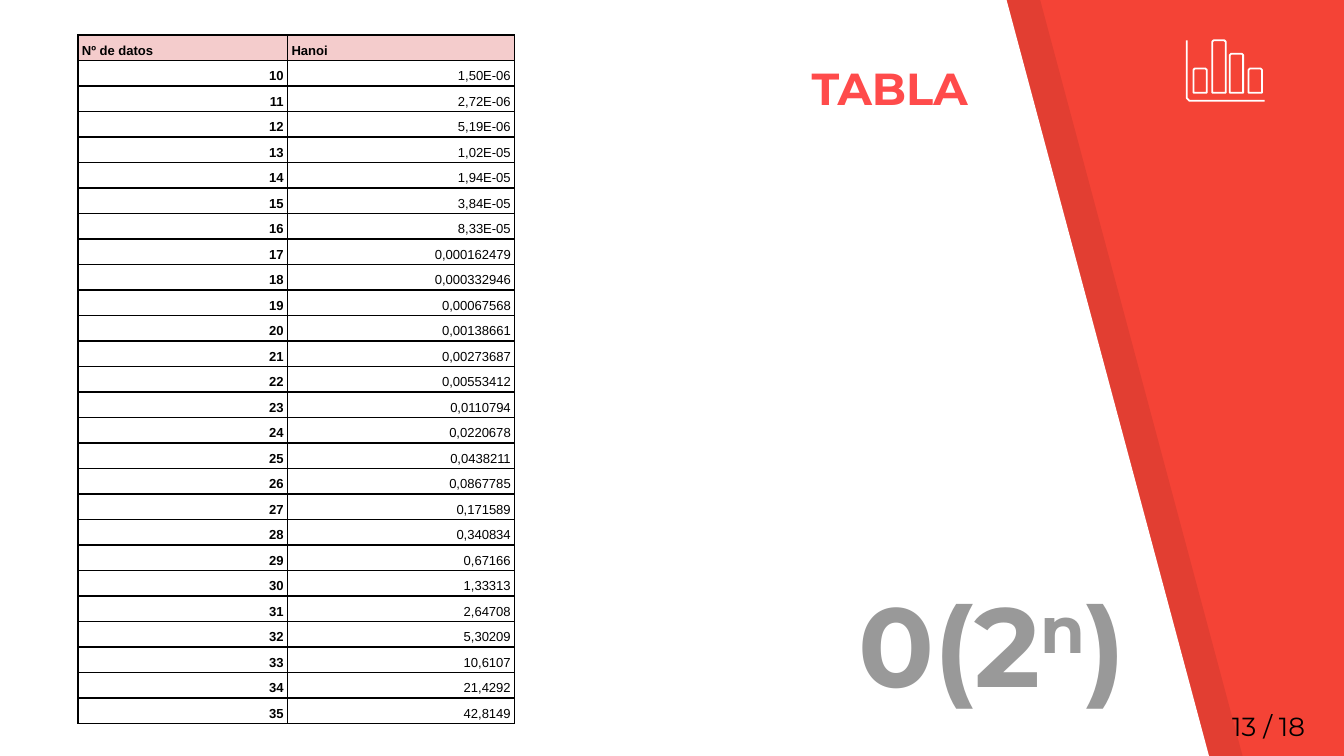
from lxml.etree import SubElement
from pptx import Presentation
from pptx.dml.color import RGBColor
from pptx.enum.text import MSO_ANCHOR, PP_ALIGN
from pptx.oxml import parse_xml
from pptx.oxml.ns import nsdecls, qn
from pptx.util import Inches, Pt


def rgb(value):
    return RGBColor.from_string(value)


def outline(points, close, fill=None, line=None):
    pts = [(Inches(x), Inches(y)) for x, y in points]
    fb = s.shapes.build_freeform(*pts[0])
    fb.add_line_segments(pts[1:], close=close)
    sp = fb.convert_to_shape()
    sp.shadow.inherit = False
    if fill:
        sp.fill.solid()
        sp.fill.fore_color.rgb = rgb(fill)
    else:
        sp.fill.background()
    if line:
        sp.line.color.rgb = rgb(line)
        sp.line.width = Pt(0.96)
    else:
        sp.line.fill.background()
    return sp


prs = Presentation()
prs.slide_width = Inches(10)
prs.slide_height = prs.slide_width * 9 // 16
s = prs.slides.add_slide(prs.slide_layouts[6])
s.background.fill.solid()
s.background.fill.fore_color.rgb = rgb("F44336")

for left, color, alpha in [(0.25, "000000", 7), (0, "FFFFFF", 100)]:
    points = [(left, -0.01), (left, 5.64), (left + 9, 5.64), (left + 7.49, 0)]
    sp = outline(points, True, fill=color)
    if alpha < 100:
        clr = sp._element.spPr.find(qn("a:solidFill"))[0]
        SubElement(clr, qn("a:alpha")).set("val", str(alpha * 1000))

values = [
    "1,50E-06", "2,72E-06", "5,19E-06", "1,02E-05", "1,94E-05", "3,84E-05",
    "8,33E-05", "0,000162479", "0,000332946", "0,00067568", "0,00138661",
    "0,00273687", "0,00553412", "0,0110794", "0,0220678", "0,0438211",
    "0,0867785", "0,171589", "0,340834", "0,67166", "1,33313", "2,64708",
    "5,30209", "10,6107", "21,4292", "42,8149",
]
rows = [("Nº de datos", "Hanoi")]
rows += [(str(n), value) for n, value in enumerate(values, 10)]

row_h = Inches(0.19)
table = s.shapes.add_table(
    len(rows), 2, Inches(0.58), Inches(0.26), Inches(3.25), row_h * len(rows)
).table
table.first_row = table.horz_banding = False
table.columns[0].width, table.columns[1].width = Inches(1.56), Inches(1.69)
for i, row in enumerate(rows):
    table.rows[i].height = row_h
    for j, text in enumerate(row):
        cell = table.cell(i, j)
        cell.vertical_anchor = MSO_ANCHOR.BOTTOM
        cell.margin_left = cell.margin_right = Inches(0.03)
        cell.margin_top = cell.margin_bottom = Inches(0.02)
        p = cell.text_frame.paragraphs[0]
        p.line_spacing = 1.15
        p.alignment = PP_ALIGN.RIGHT if i else PP_ALIGN.LEFT
        r = p.add_run()
        r.text = text
        r.font.size, r.font.name = Pt(7), "Arial"
        r.font.bold = i == 0 or j == 0
        r.font.color.rgb = rgb("000000")
        tcPr = cell._tc.get_or_add_tcPr()
        for side in ("lnL", "lnR", "lnT", "lnB"):
            tcPr.append(parse_xml(
                f'<a:{side} {nsdecls("a")} w="{Pt(0.75)}"><a:solidFill>'
                f'<a:srgbClr val="000000"/></a:solidFill></a:{side}>'
            ))
        if i == 0:
            cell.fill.solid()
            cell.fill.fore_color.rgb = rgb("F4CCCC")
        else:
            cell.fill.background()

axis = [(8.83, 0.3), (8.83, 0.73), (8.84, 0.74), (8.85, 0.75), (9.41, 0.75)]
outline(axis, False, line="FFFFFF")
for x, y in [(8.88, 0.51), (9.29, 0.51), (9.02, 0.3), (9.15, 0.4)]:
    bar = [(x + 0.1, 0.69), (x + 0.1, y + 0.01), (x + 0.09, y),
           (x + 0.01, y), (x, y + 0.01), (x, 0.69)]
    outline(bar, True, line="FFFFFF")

labels = [
    ((6.29, 4.11, 2.4, 1.27), MSO_ANCHOR.BOTTOM, 60, "999999", True, ["0(2", "n", ")"]),
    ((5.94, 0.35, 1.63, 0.66), MSO_ANCHOR.TOP, 24, "FF4B4B", True, ["TABLA"]),
    ((9.07, 5.19, 0.89, 0.43), MSO_ANCHOR.MIDDLE, 14, "000000", False, ["13 / 18"]),
]
for box, anchor, size, color, bold, runs in labels:
    tf = s.shapes.add_textbox(*map(Inches, box)).text_frame
    tf.word_wrap = True
    tf.vertical_anchor = anchor
    tf.margin_left = tf.margin_right = Inches(0.1)
    tf.margin_top = tf.margin_bottom = Inches(0.1)
    for text in runs:
        r = tf.paragraphs[0].add_run()
        r.text = text
        r.font.size, r.font.name, r.font.bold = Pt(size), "Montserrat", bold
        r.font.color.rgb = rgb(color)
        if text == "n":
            r.font._element.set("baseline", "30000")

prs.save("out.pptx")
